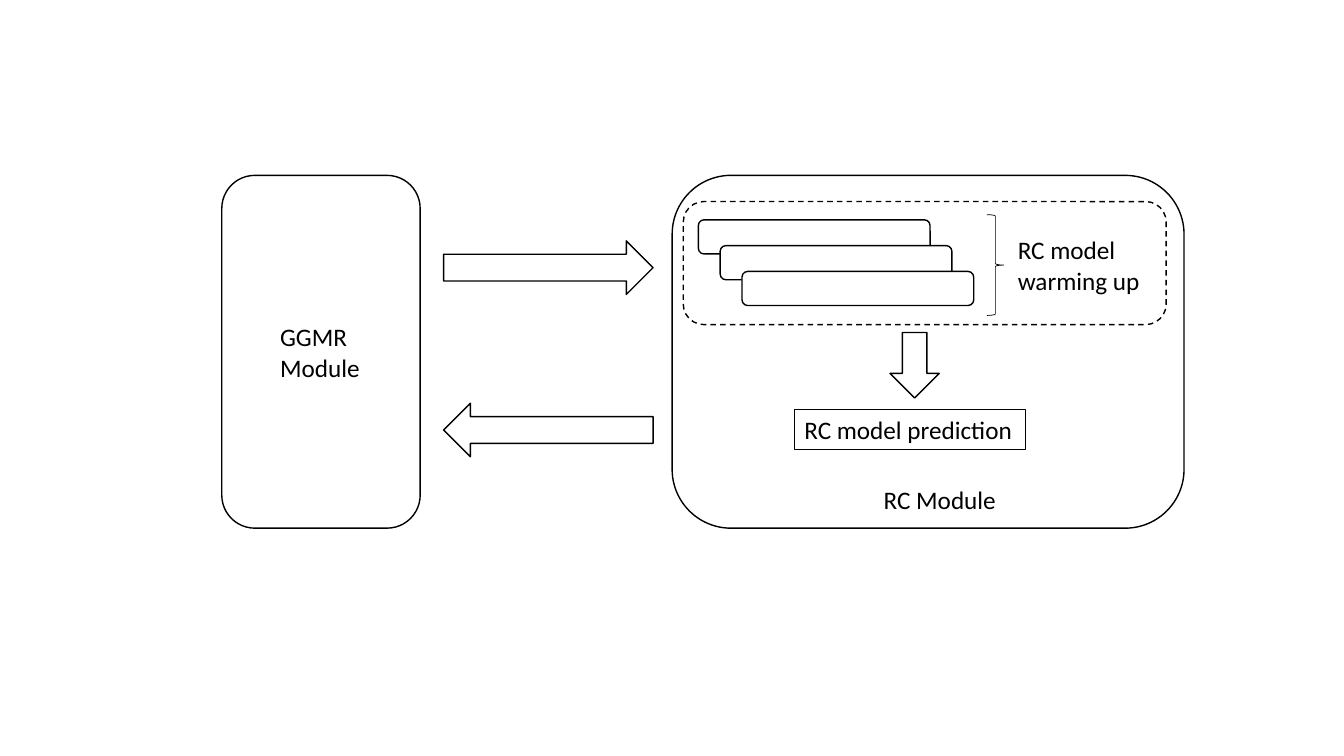
"""Builds a slide showing the exchange between the GGMR and RC modules."""
from pptx import Presentation
from pptx.dml.color import RGBColor
from pptx.enum.dml import MSO_LINE
from pptx.enum.shapes import MSO_SHAPE
from pptx.enum.text import MSO_ANCHOR, MSO_AUTO_SIZE, PP_ALIGN
from pptx.util import Cm, Pt

ROUND = MSO_SHAPE.ROUNDED_RECTANGLE
RIGHT = MSO_SHAPE.RIGHT_ARROW
DOWN = MSO_SHAPE.DOWN_ARROW
BRACE = MSO_SHAPE.RIGHT_BRACE
RECT = MSO_SHAPE.RECTANGLE
DASH = MSO_LINE.DASH
LEFT = PP_ALIGN.LEFT
TOP = MSO_ANCHOR.TOP
FIT = MSO_AUTO_SIZE.SHAPE_TO_FIT_TEXT

THEME = {
    "font": "Calibri",
    "size": 18,
    "ink": RGBColor(0, 0, 0),
    "paper": RGBColor(255, 255, 255),
}

SHAPES = [
    (ROUND, (16.94, 4.42, 12.9, 8.89), {}),
    (ROUND, (5.59, 4.42, 5, 8.89), {}),
    (RIGHT, (11.18, 6.07, 5.28, 1.35), {}),
    (RIGHT, (11.18, 10.16, 5.28, 1.35), {"turn": 180}),
    (ROUND, (17.22, 5.08, 12.17, 3.1), {"dash": DASH}),
    (BRACE, (24.87, 5.41, 0.43, 2.54), {"width": 0.5}),
    (DOWN, (22.43, 8.38, 1.24, 1.65), {}),
]
LAYERS = {"count": 3, "box": (17.6, 5.54, 5.84, 0.86), "step": (0.55, 0.65)}
LABELS = [
    (["GGMR", "Module"], (6.81, 7.98, 2.54, 1.8)),
    (["RC model", "warming up"], (25.4, 5.79, 3.61, 1.8)),
    (["RC Module"], (22.02, 12.09, 3.38, 1.02)),
]
RESULT = (["RC model prediction"], (20.02, 10.31, 5.82, 1.02))


def draw(slide, kind, box, width=1, dash=None, turn=0, fill=None):
    shape = slide.shapes.add_shape(kind, *map(Cm, box))
    shape.shadow.inherit = False
    shape.rotation = turn
    if fill is None:
        shape.fill.background()
    else:
        shape.fill.solid()
        shape.fill.fore_color.rgb = fill
    shape.line.color.rgb = THEME["ink"]
    shape.line.width = Pt(width)
    if dash:
        shape.line.dash_style = dash
    return shape


def write(shape, lines, size=THEME["size"], color=THEME["ink"], align=LEFT):
    frame = shape.text_frame
    frame.word_wrap = False
    frame.auto_size = FIT
    frame.vertical_anchor = TOP
    for i, line in enumerate(lines):
        para = frame.add_paragraph() if i else frame.paragraphs[0]
        para.alignment = align
        run = para.add_run()
        run.text = line
        run.font.name = THEME["font"]
        run.font.size = Pt(size)
        run.font.color.rgb = color


def main():
    deck = Presentation()
    deck.slide_width, deck.slide_height = Cm(33.87), Cm(19.05)
    slide = deck.slides.add_slide(deck.slide_layouts[6])
    for kind, box, style in SHAPES:
        draw(slide, kind, box, **style)
    left, top, wide, high = LAYERS["box"]
    right, down = LAYERS["step"]
    for i in range(LAYERS["count"]):
        box = (left + i * right, top + i * down, wide, high)
        draw(slide, ROUND, box, fill=THEME["paper"])
    for lines, box in LABELS:
        write(slide.shapes.add_textbox(*map(Cm, box)), lines)
    lines, box = RESULT
    write(draw(slide, RECT, box, width=0.75), lines)
    deck.save("out.pptx")


if __name__ == "__main__":
    main()
